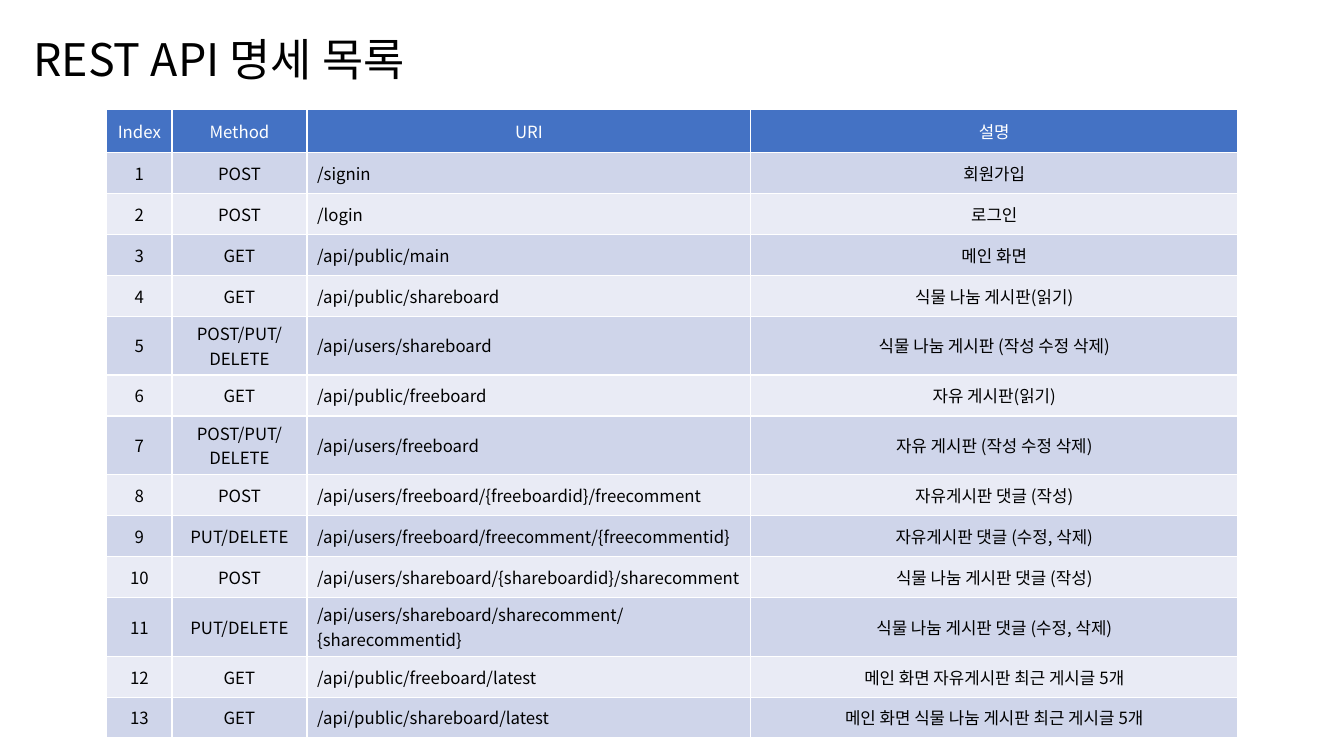
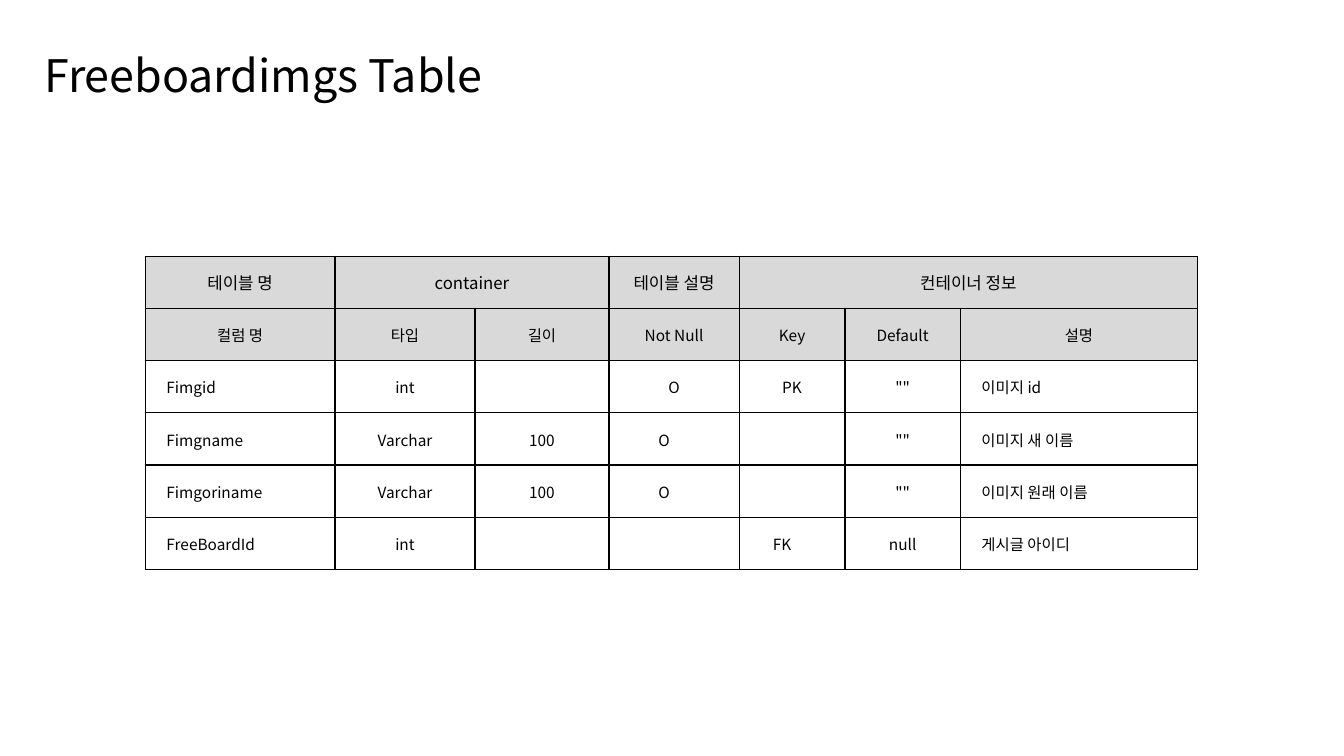
from lxml import etree
from pptx import Presentation
from pptx.dml.color import RGBColor
from pptx.enum.text import MSO_ANCHOR, MSO_AUTO_SIZE, PP_ALIGN
from pptx.oxml.ns import qn
from pptx.util import Pt

LEFT, CENTER = PP_ALIGN.LEFT, PP_ALIGN.CENTER
MIDDLE = MSO_ANCHOR.MIDDLE
NO_AUTOFIT = MSO_AUTO_SIZE.NONE

BLACK = RGBColor(0x00, 0x00, 0x00)
WHITE = RGBColor(0xFF, 0xFF, 0xFF)
BLUE = RGBColor(0x44, 0x72, 0xC4)
BAND_DARK = RGBColor(0xCF, 0xD5, 0xEA)
BAND_LIGHT = RGBColor(0xE9, 0xEB, 0xF5)
GRAY = RGBColor(0xD9, 0xD9, 0xD9)

FONT = "Noto Sans CJK KR"
TITLE_ONLY = 5
BORDER_TAGS = ("a:lnL", "a:lnR", "a:lnT", "a:lnB")


def write(text_frame, text, size=12, color=BLACK, align=LEFT, line_spacing=None):
    """Fill a text frame, one paragraph per line of text."""
    text_frame.text = text
    for paragraph in text_frame.paragraphs:
        paragraph.alignment = align
        if line_spacing:
            paragraph.line_spacing = line_spacing
        for run in paragraph.runs:
            run.font.size = Pt(size)
            run.font.name = FONT
            run.font.color.rgb = color
            east_asian = etree.SubElement(run.font._element, qn("a:ea"))
            east_asian.set("typeface", FONT)


class Deck:
    """Holds the shared style and the current slide."""

    def __init__(self):
        self.presentation = Presentation()
        self.presentation.slide_width = Pt(960)
        self.presentation.slide_height = Pt(540)
        self.slide = None

    def add_slide(self, title, left, top, width, height):
        layout = self.presentation.slide_layouts[TITLE_ONLY]
        self.slide = self.presentation.slides.add_slide(layout)
        shape = self.slide.shapes.title
        shape.left, shape.top = Pt(left), Pt(top)
        shape.width, shape.height = Pt(width), Pt(height)
        frame = shape.text_frame
        frame.word_wrap = True
        frame.auto_size = NO_AUTOFIT
        frame.vertical_anchor = MIDDLE
        write(frame, title, size=32, line_spacing=0.9)

    def add_table(self, left, top, column_widths, row_heights):
        frame = self.slide.shapes.add_table(
            len(row_heights), len(column_widths), Pt(left), Pt(top),
            Pt(sum(column_widths)), Pt(sum(row_heights)))
        table = frame.table
        table.first_row = table.horz_banding = False
        for column, width in zip(table.columns, column_widths):
            column.width = Pt(width)
        for row, height in zip(table.rows, row_heights):
            row.height = Pt(height)
        return table

    def fill_cell(self, cell, text, fill=None, border=BLACK, margins=None, **text_format):
        cell.vertical_anchor = MIDDLE
        if margins:
            cell.margin_left, cell.margin_right = Pt(margins[0]), Pt(margins[1])
            cell.margin_top, cell.margin_bottom = Pt(0.7), Pt(0)
        if fill is None:
            cell.fill.background()
        else:
            cell.fill.solid()
            cell.fill.fore_color.rgb = fill
        self.add_borders(cell, border)
        write(cell.text_frame, text, **text_format)

    def add_borders(self, cell, color):
        properties = cell._tc.get_or_add_tcPr()
        for position, tag in enumerate(BORDER_TAGS):
            line = etree.Element(qn(tag), w=str(Pt(1)))
            solid = etree.SubElement(line, qn("a:solidFill"))
            etree.SubElement(solid, qn("a:srgbClr"), val=str(color))
            properties.insert(position, line)


# Content of the API list: method, URI, description
API_HEADER = ("Index", "Method", "URI", "설명")
API_ROWS = [
    ("POST", "/signin", "회원가입"),
    ("POST", "/login", "로그인"),
    ("GET", "/api/public/main", "메인 화면"),
    ("GET", "/api/public/shareboard", "식물 나눔 게시판(읽기)"),
    ("POST/PUT/\nDELETE", "/api/users/shareboard", "식물 나눔 게시판 (작성 수정 삭제)"),
    ("GET", "/api/public/freeboard", "자유 게시판(읽기)"),
    ("POST/PUT/\nDELETE", "/api/users/freeboard", "자유 게시판 (작성 수정 삭제)"),
    ("POST", "/api/users/freeboard/{freeboardid}/freecomment", "자유게시판 댓글 (작성)"),
    ("PUT/DELETE", "/api/users/freeboard/freecomment/{freecommentid}",
     "자유게시판 댓글 (수정, 삭제)"),
    ("POST", "/api/users/shareboard/{shareboardid}/sharecomment",
     "식물 나눔 게시판 댓글 (작성)"),
    ("PUT/DELETE", "/api/users/shareboard/sharecomment/{sharecommentid}",
     "식물 나눔 게시판 댓글 (수정, 삭제)"),
    ("GET", "/api/public/freeboard/latest", "메인 화면 자유게시판 최근 게시글 5개"),
    ("GET", "/api/public/shareboard/latest", "메인 화면 식물 나눔 게시판 최근 게시글 5개"),
]
URI_COLUMN = 2

# Content of the image table schema
SCHEMA_HEADER = ("테이블 명", "container", "", "테이블 설명", "컨테이너 정보", "", "")
SCHEMA_SPANS = ((1, 2), (4, 6))
SCHEMA_ROWS = [
    ("컬럼 명", "타입", "길이", "Not Null", "Key", "Default", "설명"),
    ("Fimgid", "int", "", "O", "PK", '""', "이미지 id"),
    ("Fimgname", "Varchar", "100", "O", "", '""', "이미지 새 이름"),
    ("Fimgoriname", "Varchar", "100", "O", "", '""', "이미지 원래 이름"),
    ("FreeBoardId", "int", "", "", "FK", "null", "게시글 아이디"),
]
SCHEMA_LEFT_COLUMNS = (0, 6)
SCHEMA_SHIFTED_CELLS = ((3, 3), (4, 3), (5, 4))


def add_api_slide(deck):
    deck.add_slide("REST API 명세 목록", 16.6, 15, 482, 58.5)
    table = deck.add_table(76.3, 78.3, (46.5, 96.5, 317, 347.8),
                           [30.8] + [29.2] * len(API_ROWS))
    for column, text in enumerate(API_HEADER):
        deck.fill_cell(table.cell(0, column), text, fill=BLUE, border=WHITE,
                       color=WHITE, align=CENTER)
    for index, row in enumerate(API_ROWS, start=1):
        fill = BAND_DARK if index % 2 else BAND_LIGHT
        for column, text in enumerate((str(index), *row)):
            deck.fill_cell(table.cell(index, column), text, fill=fill, border=WHITE,
                           align=LEFT if column == URI_COLUMN else CENTER)


def add_schema_slide(deck):
    deck.add_slide("Freeboardimgs Table", 24.4, 26, 828, 60)
    table = deck.add_table(103.8, 183, (135.5, 100, 95.7, 93, 75.7, 82.3, 169.6),
                           [37.3] * (len(SCHEMA_ROWS) + 1))
    for column, text in enumerate(SCHEMA_HEADER):
        deck.fill_cell(table.cell(0, column), text, fill=GRAY, align=CENTER)
    for first, last in SCHEMA_SPANS:
        table.cell(0, first).merge(table.cell(0, last))

    for row_index, row in enumerate(SCHEMA_ROWS, start=1):
        is_header = row_index == 1
        for column, text in enumerate(row):
            is_left = column in SCHEMA_LEFT_COLUMNS and not is_header
            is_shifted = (row_index, column) in SCHEMA_SHIFTED_CELLS
            deck.fill_cell(table.cell(row_index, column), text,
                           fill=GRAY if is_header else None,
                           margins=(15.1 if is_left else 0.7, 15 if is_shifted else 0.7),
                           size=11, align=LEFT if is_left else CENTER)


def main():
    deck = Deck()
    add_api_slide(deck)
    add_schema_slide(deck)
    deck.presentation.save("out.pptx")


if __name__ == "__main__":
    main()
